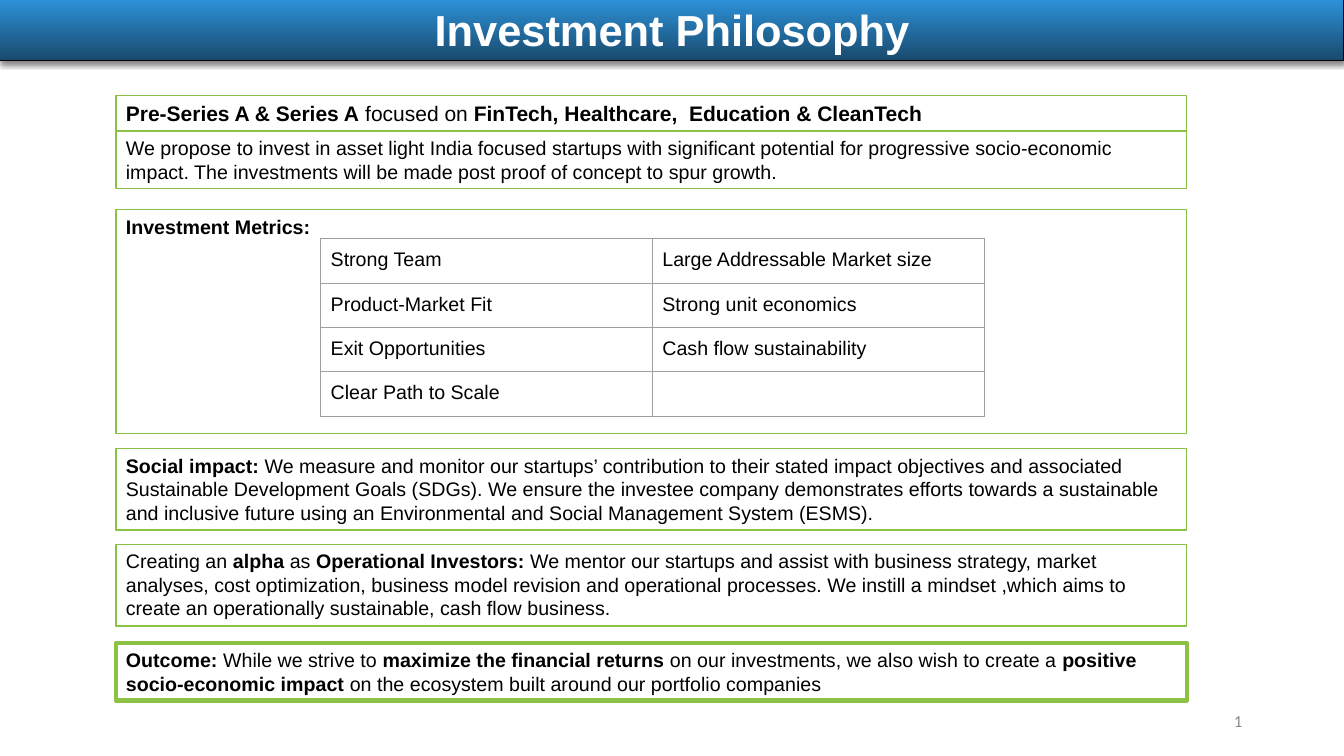
from lxml.etree import SubElement
from pptx import Presentation
from pptx.dml.color import RGBColor
from pptx.enum.shapes import MSO_SHAPE as SHAPE
from pptx.enum.text import MSO_ANCHOR as ANCHOR, PP_ALIGN as ALIGN
from pptx.oxml.ns import qn
from pptx.util import Inches, Pt

BLACK = RGBColor(0x00, 0x00, 0x00)
WHITE = RGBColor(0xFF, 0xFF, 0xFF)
GREEN = RGBColor(0x8B, 0xC1, 0x45)
GRID = RGBColor(0x9E, 0x9E, 0x9E)
GRAY = RGBColor(0x89, 0x89, 0x89)
BLUE = RGBColor(0x2D, 0x93, 0xDB)
NAVY = RGBColor(0x19, 0x4A, 0x6D)

LEFT, WIDTH = 1.15, 10.62
PANELS = [
    (0.95, 0.35, 1, 15, "**Pre-Series A & Series A** focused on "
     "**FinTech, Healthcare,  Education & CleanTech**"),
    (1.3, 0.57, 1, 14, "We propose to invest in asset light India focused startups with "
     "significant potential for progressive socio-economic impact. The investments will be "
     "made post proof of concept to spur growth."),
    (2.08, 2.22, 1, 14, "**Investment Metrics:**"),
    (4.45, 0.81, 1, 14, "**Social impact: **We measure and monitor our startups’ contribution "
     "to their stated impact objectives and associated Sustainable Development Goals (SDGs). "
     "We ensure the investee company demonstrates efforts towards a sustainable and inclusive "
     "future using an Environmental and Social Management System (ESMS)."),
    (5.4, 0.81, 1, 14, "Creating an **alpha **as **Operational Investors:** We mentor our "
     "startups and assist with business strategy, market analyses, cost optimization, business "
     "model revision and operational processes. We instill a mindset ,which aims to create an "
     "operationally sustainable, cash flow business."),
    (6.38, 0.57, 3, 14, "**Outcome: **While we strive to **maximize the financial returns **"
     "on our investments, we also wish to create a **positive socio-economic impact **on the "
     "ecosystem built around our portfolio companies"),
]
METRICS = [
    ("Strong Team", "Large Addressable Market size"),
    ("Product-Market Fit", "Strong unit economics"),
    ("Exit Opportunities", "Cash flow sustainability"),
    ("Clear Path to Scale", ""),
]


class Deck:
    font = "Arial"

    def __init__(self, prs):
        self.s = prs.slides.add_slide(prs.slide_layouts[6])

    def style(self, r, size, color=BLACK, bold=False, font=None):
        r.font.name = font or self.font
        r.font.size = Pt(size)
        r.font.bold = bold
        r.font.color.rgb = color

    def rect(self, x, y, w, h, line, weight):
        sp = self.s.shapes.add_shape(SHAPE.RECTANGLE, Inches(x), Inches(y), Inches(w), Inches(h))
        sp.shadow.inherit = False
        sp.line.color.rgb = line
        sp.line.width = Pt(weight)
        sp.text_frame.word_wrap = True
        sp.text_frame.vertical_anchor = ANCHOR.TOP
        return sp

    def panel(self, y, h, weight, size, text):
        sp = self.rect(LEFT, y, WIDTH, h, GREEN, weight)
        sp.fill.solid()
        sp.fill.fore_color.rgb = WHITE
        p = sp.text_frame.paragraphs[0]
        p.alignment = ALIGN.LEFT
        for i, part in enumerate(text.split("**")):
            if part:
                r = p.add_run()
                r.text = part
                self.style(r, size, bold=i % 2 == 1)

    def banner(self, text):
        sp = self.rect(0, -0.02, 13.33, 0.62, BLACK, 0.75)
        sp.fill.gradient()
        sp.fill.gradient_angle = 270
        for stop, color, position in zip(sp.fill.gradient_stops, (BLUE, NAVY), (0, 1)):
            stop.color.rgb = color
            stop.position = position
        effects = sp._element.spPr.find(qn("a:effectLst"))
        shadow = SubElement(effects, qn("a:outerShdw"), blurRad=str(Pt(4.5)), dist=str(Pt(1.5)),
                            dir="5400000", algn="t", rotWithShape="0")
        color = SubElement(shadow, qn("a:srgbClr"), val=str(BLACK))
        SubElement(color, qn("a:alpha"), val="49000")
        sp.text_frame.text = text
        p = sp.text_frame.paragraphs[0]
        p.alignment = ALIGN.CENTER
        self.style(p.runs[0], 31, WHITE, bold=True)

    def table(self, x, y, w, row_h, rows):
        n_rows, n_cols = len(rows), len(rows[0])
        tbl = self.s.shapes.add_table(n_rows, n_cols, Inches(x), Inches(y), Inches(w),
                                      Inches(row_h * n_rows)).table
        tbl.first_row = tbl.horz_banding = False
        for i, row in enumerate(rows):
            for j, text in enumerate(row):
                self.cell(tbl.cell(i, j), text)

    def cell(self, cell, text):
        cell.margin_left = cell.margin_right = Inches(0.1)
        cell.margin_top = cell.margin_bottom = Inches(0.1)
        for side in ("lnL", "lnR", "lnT", "lnB"):
            ln = SubElement(cell._tc.get_or_add_tcPr(), qn(f"a:{side}"), w=str(Pt(0.75)))
            SubElement(SubElement(ln, qn("a:solidFill")), qn("a:srgbClr"), val=str(GRID))
        cell.fill.background()
        p = cell.text_frame.paragraphs[0]
        if text:
            p.text = text
            self.style(p.runs[0], 14)
        else:
            SubElement(p._p, qn("a:endParaRPr"), sz="1400")

    def page_number(self, text):
        tf = self.s.shapes.add_textbox(Inches(9.42), Inches(6.95), Inches(3), Inches(0.4)).text_frame
        tf.word_wrap = True
        tf.vertical_anchor = ANCHOR.MIDDLE
        tf.text = text
        p = tf.paragraphs[0]
        p.alignment = ALIGN.RIGHT
        self.style(p.runs[0], 12, GRAY, font="Calibri")


def main():
    prs = Presentation()
    prs.slide_width, prs.slide_height = Inches(13.33), Inches(7.5)
    deck = Deck(prs)
    for panel in PANELS:
        deck.panel(*panel)
    deck.table(3.18, 2.37, 6.58, 0.44, METRICS)
    deck.page_number("1")
    deck.banner("Investment Philosophy")
    prs.save("out.pptx")


if __name__ == "__main__":
    main()
